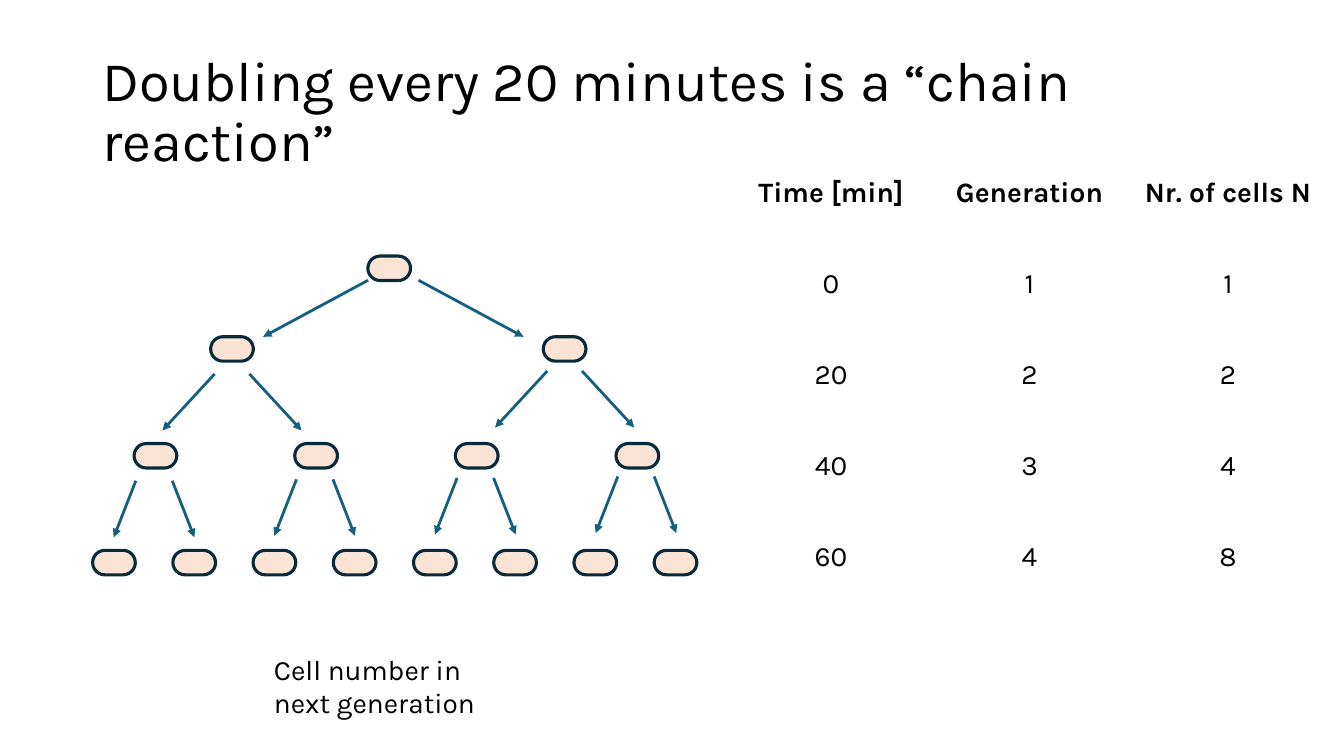
from dataclasses import dataclass

from lxml import etree
from pptx import Presentation
from pptx.dml.color import RGBColor
from pptx.enum import shapes, text
from pptx.oxml import ns
from pptx.util import Pt

TITLE = "Doubling every 20 minutes is a “chain reaction”"
CAPTION = ["Cell number in", "next generation"]
GROWTH = [
    ("Time [min]", "Generation", "Nr. of cells N"),
    ("0", "1", "1"),
    ("20", "2", "2"),
    ("40", "3", "4"),
    ("60", "4", "8"),
]


@dataclass(frozen=True)
class Theme:
    font: str = "Karla"
    ink: str = "000000"
    cell_fill: str = "FBE3D6"
    cell_line: str = "092A39"
    arrow: str = "156082"
    title_size: int = 40
    body_size: int = 20
    cell_weight: float = 2.25
    arrow_weight: float = 2


@dataclass(frozen=True)
class Arrows:
    """Pair below each parent; start and end are distances from its axis."""
    shift: float
    start: float
    end: float
    top: float
    drift: float = 0


THEME = Theme()
CELL_W, CELL_H = 30.5, 17.5
ARROW_H = 40.4
# first cell's left, distance to the next cell, top, arrows to the next generation
GENERATIONS = [
    (262.8, 0, 182.9, Arrows(2.9, 18, 93, 200.2)),
    (150.5, 237.6, 240.5, Arrows(0, 12.4, 49.7, 267.1, -2.1)),
    (95.8, 114.75, 316.8, Arrows(-1, 13, 28.8, 343.4, -1)),
    (66.2, 57.3, 393.1, None),
]
TABLE_LEFT, TABLE_TOP, COLUMN_W, ROW_H = 522.7, 122.4, 141.8, 65.1


def add_words(paragraph, words, size, bold=False):
    run = paragraph.add_run()
    run.text = words
    run.font.name = THEME.font
    run.font.size = Pt(size)
    run.font.bold = bold
    run.font.color.rgb = RGBColor.from_string(THEME.ink)


def add_text(slide, box, lines, size, anchor, spacing=None):
    frame = slide.shapes.add_textbox(*map(Pt, box)).text_frame
    frame.word_wrap = True
    frame.vertical_anchor = anchor
    for number, line in enumerate(lines):
        paragraph = frame.add_paragraph() if number else frame.paragraphs[0]
        paragraph.line_spacing = spacing
        add_words(paragraph, line, size)


def add_growth_table(slide):
    rows, columns = len(GROWTH), len(GROWTH[0])
    table = slide.shapes.add_table(
        rows, columns, Pt(TABLE_LEFT), Pt(TABLE_TOP),
        Pt(COLUMN_W * columns), Pt(ROW_H * rows)).table
    table.first_row = table.horz_banding = False
    for r, values in enumerate(GROWTH):
        for c, value in enumerate(values):
            entry = table.cell(r, c)
            entry.fill.background()
            paragraph = entry.text_frame.paragraphs[0]
            paragraph.alignment = text.PP_ALIGN.CENTER
            add_words(paragraph, value, THEME.body_size, bold=r == 0)


def add_cell(tree, left, top):
    cell = tree.shapes.add_shape(
        shapes.MSO_SHAPE.ROUNDED_RECTANGLE,
        Pt(left), Pt(top), Pt(CELL_W), Pt(CELL_H))
    cell.adjustments[0] = 0.5
    cell.shadow.inherit = False
    cell.fill.solid()
    cell.fill.fore_color.rgb = RGBColor.from_string(THEME.cell_fill)
    cell.line.color.rgb = RGBColor.from_string(THEME.cell_line)
    cell.line.width = Pt(THEME.cell_weight)


def add_arrow(tree, x1, y1, x2, y2):
    arrow = tree.shapes.add_connector(
        shapes.MSO_CONNECTOR.STRAIGHT, Pt(x1), Pt(y1), Pt(x2), Pt(y2))
    arrow.line.color.rgb = RGBColor.from_string(THEME.arrow)
    arrow.line.width = Pt(THEME.arrow_weight)
    etree.SubElement(arrow.line._get_or_add_ln(), ns.qn("a:tailEnd"), type="triangle")
    etree.SubElement(arrow._element.spPr, ns.qn("a:effectLst"))


def add_division_tree(slide):
    tree = slide.shapes.add_group_shape()
    for level, (first, step, top, _) in enumerate(GENERATIONS):
        for i in range(2 ** level):
            add_cell(tree, first + i * step, top)
    for level, (first, step, _, arrows) in enumerate(GENERATIONS[:-1]):
        for i in range(2 ** level):
            axis = first + i * step + CELL_W / 2 + arrows.shift
            y = arrows.top + i * arrows.drift
            for side in (-1, 1):
                add_arrow(tree, axis + side * arrows.start, y,
                          axis + side * arrows.end, y + ARROW_H)


def main():
    deck = Presentation()
    deck.slide_width, deck.slide_height = Pt(960), Pt(540)
    slide = deck.slides.add_slide(deck.slide_layouts[6])
    add_text(slide, (66, 28.8, 828, 104.4), [TITLE], THEME.title_size,
             text.MSO_ANCHOR.MIDDLE, spacing=0.9)
    add_growth_table(slide)
    add_division_tree(slide)
    add_text(slide, (188.6, 462.2, 164.9, 55.4), CAPTION, THEME.body_size,
             text.MSO_ANCHOR.TOP)
    deck.save("out.pptx")


if __name__ == "__main__":
    main()
